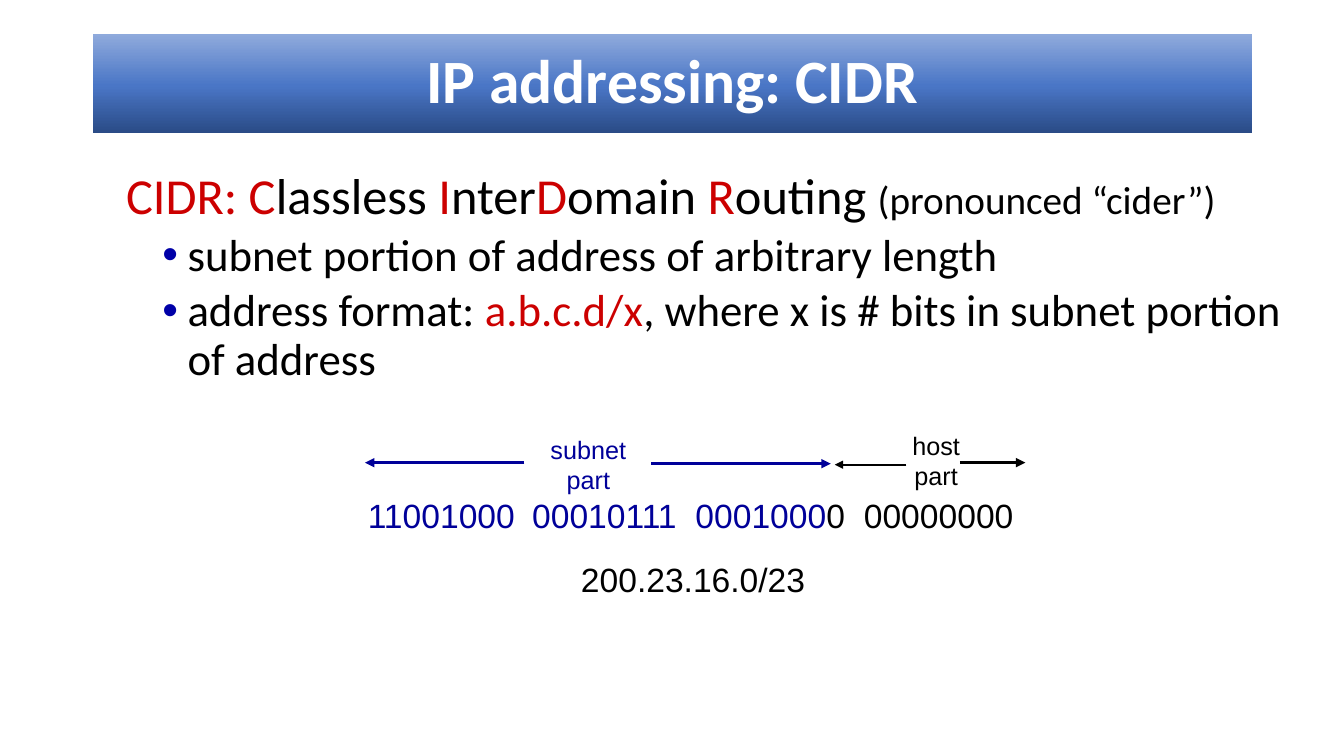
"""Build the slide that explains CIDR addressing."""
from copy import deepcopy

from lxml import etree
from pptx import Presentation
from pptx.dml.color import RGBColor
from pptx.enum import shapes, text
from pptx.oxml import ns
from pptx.util import Inches, Pt

COLORS = {
    "black": "000000", "white": "FFFFFF", "red": "CC0000",
    "navy": "000099", "bullet": "0000A8",
    "deep": "2A4B86", "middle": "4A76C6", "light": "8FAADC",
}


def color(name):
    return RGBColor.from_string(COLORS[name])


def add_element(parent, tag, **attributes):
    return etree.SubElement(parent, ns.qn(tag), attributes)


class AddressSlide:
    """Hold the fonts and the page, and draw each kind of element."""

    heading_font = "Calibri"
    diagram_font = "Arial"

    def __init__(self, deck):
        self.page = deck.slides.add_slide(deck.slide_layouts[1])
        self.diagram = self.page.shapes.add_group_shape().shapes

    def place(self, box, left, top, width, height):
        box.left, box.top = Inches(left), Inches(top)
        box.width, box.height = Inches(width), Inches(height)

    def add_spans(self, para, spans, font):
        for words, size, name in spans:
            span = para.add_run()
            span.text = words
            span.font.size = Pt(size)
            span.font.name = font
            span.font.color.rgb = color(name)

    def title(self, words, *place):
        box = self.page.shapes.title
        self.place(box, *place)
        box.fill.gradient()
        stop_list = box._element.spPr.find(".//" + ns.qn("a:gsLst"))
        stop_list.append(deepcopy(stop_list[-1]))
        box.fill.gradient_angle = 90
        stops = zip(box.fill.gradient_stops, (0, 0.48, 1), ("deep", "middle", "light"))
        for stop, position, name in stops:
            stop.position = position
            stop.color.rgb = color(name)
        frame = box.text_frame
        frame.text = words
        frame.auto_size = text.MSO_AUTO_SIZE.NONE
        frame.vertical_anchor = text.MSO_ANCHOR.MIDDLE
        para = frame.paragraphs[0]
        para.alignment = text.PP_ALIGN.CENTER
        para.line_spacing = 0.9
        font = para.runs[0].font
        font.size, font.name, font.bold = Pt(44), self.heading_font, True
        font.color.rgb = color("white")

    def body(self, lead, points, *place):
        box = self.page.placeholders[1]
        self.place(box, *place)
        frame = box.text_frame
        frame.word_wrap = True
        frame.auto_size = text.MSO_AUTO_SIZE.NONE
        frame.vertical_anchor = text.MSO_ANCHOR.TOP
        for index, spans in enumerate([lead, *points]):
            para = frame.add_paragraph() if index else frame.paragraphs[0]
            self.list_style(para, bulleted=index > 0)
            self.add_spans(para, spans, self.heading_font)

    def list_style(self, para, bulleted):
        para.level = int(bulleted)
        para.line_spacing = 0.9
        para.space_before = Pt(5 if bulleted else 0)
        margin, indent = (0.76, -0.25) if bulleted else (0.39, -0.24)
        properties = para._p.get_or_add_pPr()
        properties.set("marL", str(Inches(margin)))
        properties.set("indent", str(Inches(indent)))
        if bulleted:
            tint = add_element(properties, "a:buClr")
            add_element(tint, "a:srgbClr", val=COLORS["bullet"])
            add_element(properties, "a:buFont", typeface="Arial")
            add_element(properties, "a:buChar", char="•")
        else:
            add_element(properties, "a:buNone")

    def label(self, lines, size, name, *place):
        box = self.diagram.add_textbox(*map(Inches, place))
        frame = box.text_frame
        frame.word_wrap = False
        frame.text = "\n".join(lines)
        for para in frame.paragraphs:
            para.alignment = text.PP_ALIGN.CENTER
            font = para.runs[0].font
            font.size, font.name = Pt(size), self.diagram_font
            font.color.rgb = color(name)

    def bits(self, spans, tabs, *place):
        frame = self.diagram.add_textbox(*map(Inches, place)).text_frame
        frame.word_wrap = True
        para = frame.paragraphs[0]
        tab_list = add_element(para._p.get_or_add_pPr(), "a:tabLst")
        for tab in tabs:
            add_element(tab_list, "a:tab", pos=str(Inches(tab)), algn="l")
        self.add_spans(para, spans, self.diagram_font)

    def arrow(self, start, end, height, name, weight):
        line = self.diagram.add_connector(
            shapes.MSO_CONNECTOR.STRAIGHT,
            Inches(start), Inches(height), Inches(end), Inches(height))
        line.line.color.rgb = color(name)
        line.line.width = Pt(weight)
        add_element(line.line._get_or_add_ln(), "a:tailEnd", type="triangle")
        add_element(line._element.spPr, "a:effectLst")


def main():
    deck = Presentation()
    deck.slide_width, deck.slide_height = Inches(13.33), Inches(7.5)
    slide = AddressSlide(deck)
    slide.title("IP addressing: CIDR", 0.92, 0.34, 11.5, 0.98)

    lead = [
        ("CIDR: C", 36, "red"), ("lassless ", 36, "black"),
        ("I", 36, "red"), ("nter", 36, "black"),
        ("D", 36, "red"), ("omain ", 36, "black"),
        ("R", 36, "red"), ("outing ", 36, "black"),
        ("(pronounced “cider”)", 28, "black"),
    ]
    points = [
        [("subnet portion of address of arbitrary length", 32, "black")],
        [("address format: ", 32, "black"), ("a.b.c.d/x", 32, "red"),
         (", where x is # bits in subnet portion of address", 32, "black")],
    ]
    slide.body(lead, points, 1, 1.65, 12.13, 2.27)

    octets = [("11001000\t00010111\t0001000", 24, "navy"),
              ("0\t00000000", 24, "black")]
    slide.bits(octets, (1.63, 3.25, 4.92), 3.55, 4.86, 6.7, 0.5)
    slide.label(["subnet", "part"], 18, "navy", 5.36, 4.26, 0.95, 0.7)
    slide.label(["host", "part"], 18, "black", 8.95, 4.22, 0.67, 0.7)
    slide.label(["200.23.16.0/23"], 24, "black", 5.66, 5.5, 2.43, 0.5)

    for arrow in [
        (5.2, 3.62, 4.59, "navy", 2.25),
        (6.46, 8.24, 4.6, "navy", 2.25),
        (8.99, 8.28, 4.61, "black", 1.5),
        (9.52, 10.17, 4.59, "black", 2.25),
    ]:
        slide.arrow(*arrow)
    deck.save("out.pptx")


if __name__ == "__main__":
    main()
